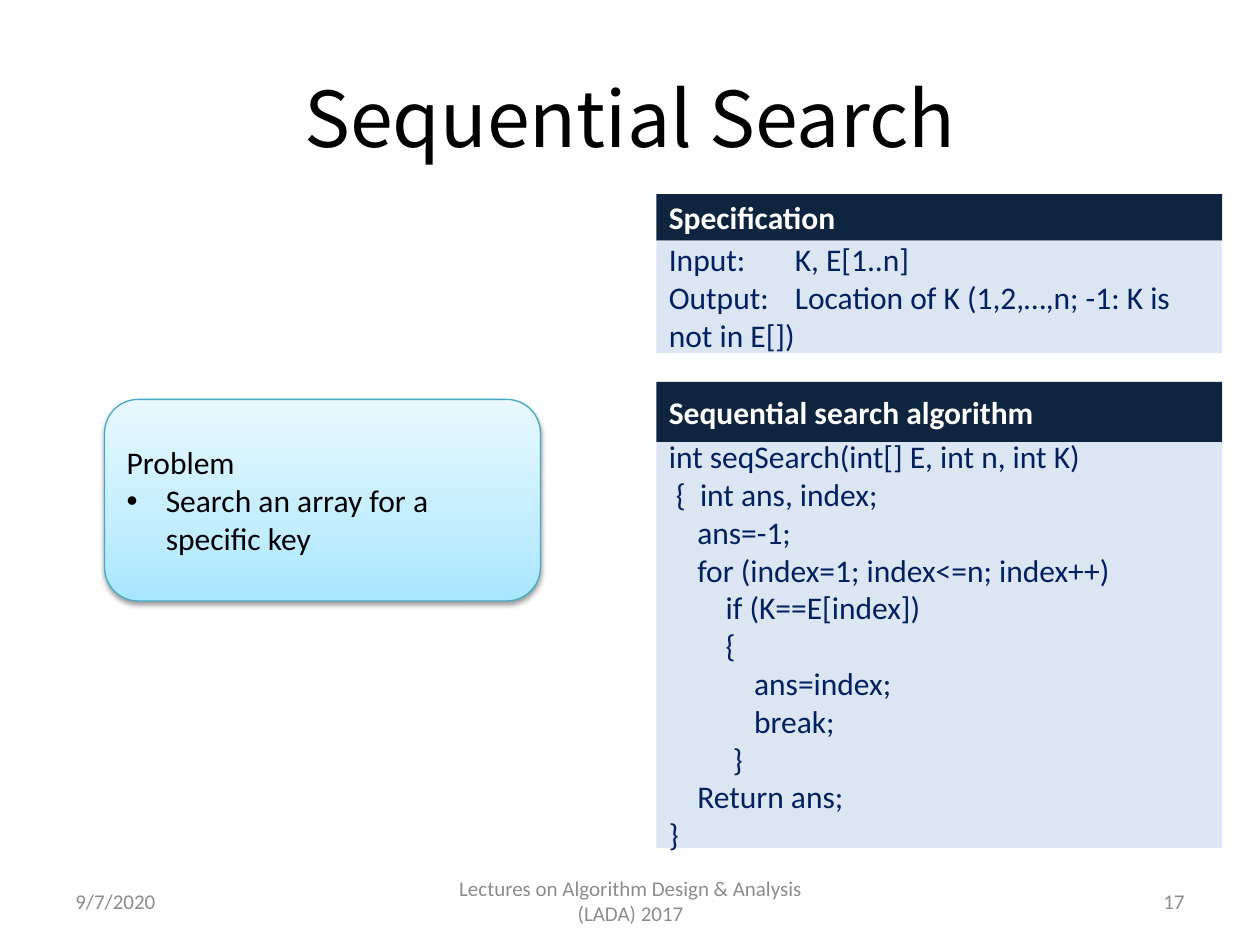
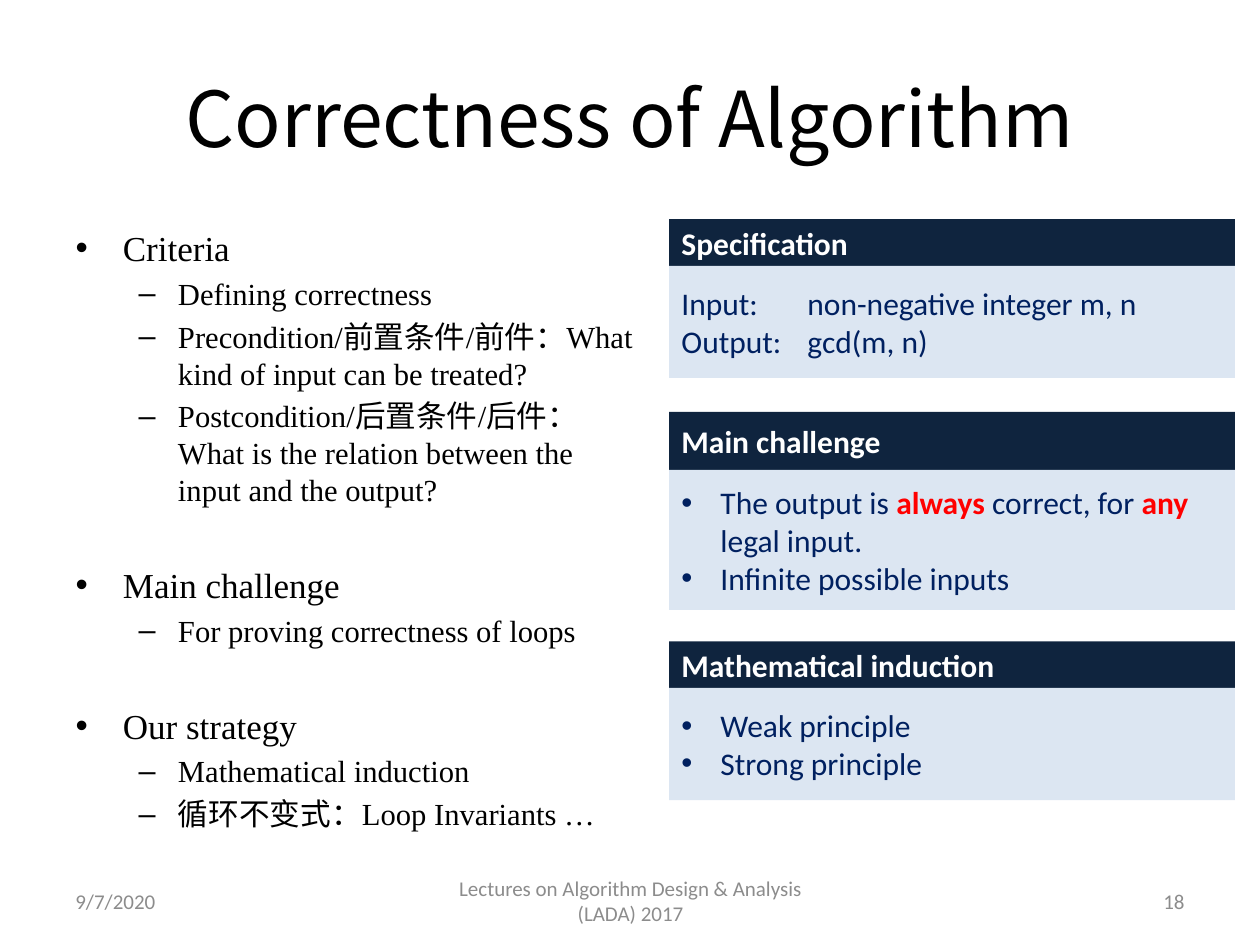
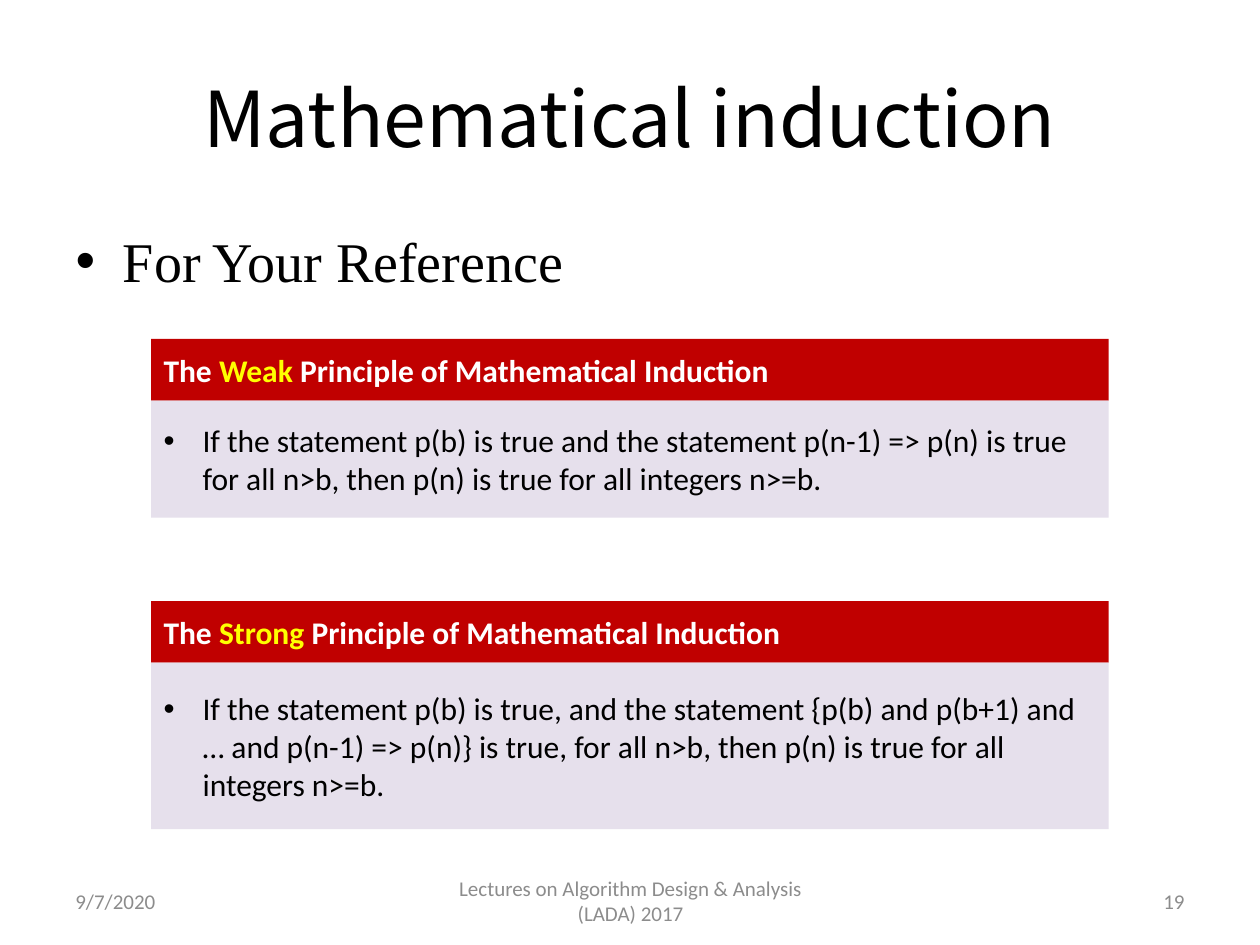
from copy import deepcopy

from lxml import etree
from pptx import Presentation
from pptx.dml.color import RGBColor
from pptx.enum.shapes import MSO_SHAPE as Shape
from pptx.enum.text import MSO_ANCHOR as Anchor, MSO_AUTO_SIZE as AutoSize, PP_ALIGN as Align
from pptx.oxml.ns import qn
from pptx.util import Inches, Pt

COLORS = {
    "black": "000000", "white": "FFFFFF", "gray": "8C8C8C", "navy": "0F243E",
    "pale_blue": "DCE6F2", "text_blue": "002060", "red": "FF0000",
    "dark_red": "C00000", "pale_purple": "E6E0EC", "yellow": "FFFF00",
    "sky_deep": "A7E6FF", "sky_mid": "C1EDFF", "sky_light": "E7F8FF", "teal": "46AAC5",
}
RGB = {name: RGBColor.from_string(value) for name, value in COLORS.items()}
TITLE_FONT, BODY_FONT, BOX_FONT = "Noto Sans CJK JP", "Times New Roman", "Calibri"
THEMES = {
    "blue": dict(head="navy", body="pale_blue", text="text_blue", accent="red"),
    "red": dict(head="dark_red", body="pale_purple", text="black", accent="red"),
}
BULLET = "• "


def write_lines(frame, lines, color, size=18, bold=False, accent="red", align=Align.LEFT):
    """Write one paragraph per line; *starred* words take the accent colour."""
    frame.word_wrap = True
    frame.vertical_anchor = Anchor.MIDDLE
    for index, line in enumerate(lines):
        para = frame.add_paragraph() if index else frame.paragraphs[0]
        para.alignment = align
        if line.startswith(BULLET):
            properties = para._p.get_or_add_pPr()
            properties.set("marL", str(Inches(0.31)))
            properties.set("indent", str(-Inches(0.31)))
            etree.SubElement(properties, qn("a:buFont")).set("typeface", "Arial")
            etree.SubElement(properties, qn("a:buChar")).set("char", "•")
        for position, piece in enumerate(line.removeprefix(BULLET).split("*")):
            if not piece:
                continue
            accented = position % 2 == 1
            span = para.add_run()
            span.text = piece
            span.font.name, span.font.size = BOX_FONT, Pt(size)
            span.font.bold = bold or accented
            span.font.color.rgb = RGB[accent if accented else color]


def add_panel(slide, left, top, width, heights, heading, lines, theme):
    """Group a heading bar with the text box below it."""
    group = slide.shapes.add_group_shape()
    head_height, body_height = heights
    for fill, y, height in ((theme["head"], top, head_height),
                            (theme["body"], top + head_height, body_height)):
        box = group.shapes.add_shape(Shape.RECTANGLE, Inches(left), Inches(y),
                                     Inches(width), Inches(height))
        box.shadow.inherit = False
        box.fill.solid()
        box.fill.fore_color.rgb = RGB[fill]
        box.line.fill.background()
    head, body = group.shapes
    write_lines(head.text_frame, [heading], "white", bold=True, accent="yellow")
    write_lines(body.text_frame, lines, theme["text"], accent=theme["accent"])


deck = Presentation()
deck.slide_width, deck.slide_height = Inches(10), Inches(7.5)
content_layout, title_layout = deck.slide_layouts[1], deck.slide_layouts[5]

# Sequential search
search = deck.slides.add_slide(title_layout)
search.shapes.title.text_frame.text = "Sequential Search"

problem = search.shapes.add_shape(Shape.ROUNDED_RECTANGLE, Inches(0.83), Inches(3.17),
                                  Inches(3.46), Inches(1.6))
problem.line.color.rgb, problem.line.width = RGB["teal"], Pt(0.75)
problem.fill.gradient()
problem.fill.gradient_angle = 90
stop_list = problem._element.spPr.find(".//" + qn("a:gsLst"))
stop_list.insert(1, deepcopy(stop_list[0]))
for stop, (place, name) in zip(problem.fill.gradient_stops,
                               ((0, "sky_deep"), (0.35, "sky_mid"), (1, "sky_light"))):
    stop.position, stop.color.rgb = place, RGB[name]
problem.shadow.inherit = False
effects = problem._element.spPr.find(qn("a:effectLst"))
shadow = etree.SubElement(effects, qn("a:outerShdw"), blurRad=str(Pt(3.1)), dist=str(Pt(1.6)),
                          dir="5400000", rotWithShape="0")
shade = etree.SubElement(shadow, qn("a:srgbClr"), val=COLORS["black"])
etree.SubElement(shade, qn("a:alpha"), val="38000")
write_lines(problem.text_frame, ["Problem", "• Search an array for a specific key"], "black")

add_panel(search, 5.21, 1.54, 4.49, (0.37, 0.89), "Specification",
          ["Input:\tK, E[1..n]", "Output:\tLocation of K (1,2,…,n; -1: K is not in E[])"],
          THEMES["blue"])
code = """int seqSearch(int[] E, int n, int K)
 {  int ans, index;
    ans=-1;
    for (index=1; index<=n; index++)
        if (K==E[index])
        {
            ans=index;
            break;
         }
    Return ans;
}"""
add_panel(search, 5.21, 3.03, 4.49, (0.48, 3.22), "Sequential search algorithm",
          code.splitlines(), THEMES["blue"])

# Correctness of algorithm
correctness = deck.slides.add_slide(content_layout)
correctness.shapes.title.text_frame.text = "Correctness of Algorithm"
outline = correctness.placeholders[1]
outline.left, outline.top = Inches(0.5), Inches(1.75)
outline.width, outline.height = Inches(4.66), Inches(4.95)
topics = [
    (0, "Criteria"),
    (1, "Defining correctness"),
    (1, "Precondition/前置条件/前件：What kind of input can be treated?"),
    (1, "Postcondition/后置条件/后件：What is the relation between the input and the output?"),
    (0, "Main challenge"),
    (1, "For proving correctness of loops"),
    (0, "Our strategy"),
    (1, "Mathematical induction"),
    (1, "循环不变式：Loop Invariants …"),
]
outline.text_frame.text = "\n".join(text for _, text in topics)
for index, (para, (level, _)) in enumerate(zip(outline.text_frame.paragraphs, topics)):
    para.level = level
    if index == 0:
        para.space_before = Pt(0)
    elif level == 0:
        para.space_before = Pt(32)
    for span in para.runs:
        span.font.size = Pt(17.5 if level else 20)

panels = [
    (1.74, (0.37, 0.89), "Specification",
     ["Input:\tnon-negative integer m, n", "Output:\tgcd(m, n)"]),
    (3.27, (0.46, 1.11), "Main challenge",
     ["• The output is *always* correct, for *any* legal input.", "• Infinite possible inputs"]),
    (5.09, (0.37, 0.89), "Mathematical induction", ["• Weak principle", "• Strong principle"]),
]
for top, heights, heading, lines in panels:
    add_panel(correctness, 5.31, top, 4.49, heights, heading, lines, THEMES["blue"])

# Mathematical induction
induction = deck.slides.add_slide(content_layout)
induction.shapes.title.text_frame.text = "Mathematical induction"
reference = induction.placeholders[1]
reference.text_frame.text = "For Your Reference"
reference.text_frame.paragraphs[0].runs[0].font.size = Pt(32)
principles = [
    (2.69, 0.93, "Weak", "If the statement p(b) is true and the statement p(n-1) => p(n) "
     "is true for all n>b, then p(n) is true for all integers n>=b."),
    (4.77, 1.32, "Strong", "If the statement p(b) is true, and the statement {p(b) and p(b+1) "
     "and … and p(n-1) => p(n)} is true, for all n>b, then p(n) is true for all integers n>=b."),
]
for top, height, name, statement in principles:
    add_panel(induction, 1.2, top, 7.6, (0.49, height),
              f"The *{name} *Principle of Mathematical Induction", [BULLET + statement],
              THEMES["red"])

# Shared body style, titles and footers
for body in (outline, reference):
    body.text_frame.auto_size = AutoSize.NONE
    for para in body.text_frame.paragraphs:
        for span in para.runs:
            span.font.name, span.font.color.rgb = BODY_FONT, RGB["black"]

for number, slide in enumerate(deck.slides, start=17):
    title_font = slide.shapes.title.text_frame.paragraphs[0].runs[0].font
    title_font.name, title_font.size = TITLE_FONT, Pt(44)
    title_font.color.rgb = RGB["black"]
    footers = [
        (0.5, 2.33, "9/7/2020", Align.LEFT),
        (3.42, 3.17, "Lectures on Algorithm Design & Analysis (LADA) 2017", Align.CENTER),
        (7.17, 2.33, str(number), Align.RIGHT),
    ]
    for left, width, text, align in footers:
        footer = slide.shapes.add_textbox(Inches(left), Inches(6.95), Inches(width), Inches(0.4))
        write_lines(footer.text_frame, [text], "gray", size=12, align=align)

deck.save("out.pptx")
